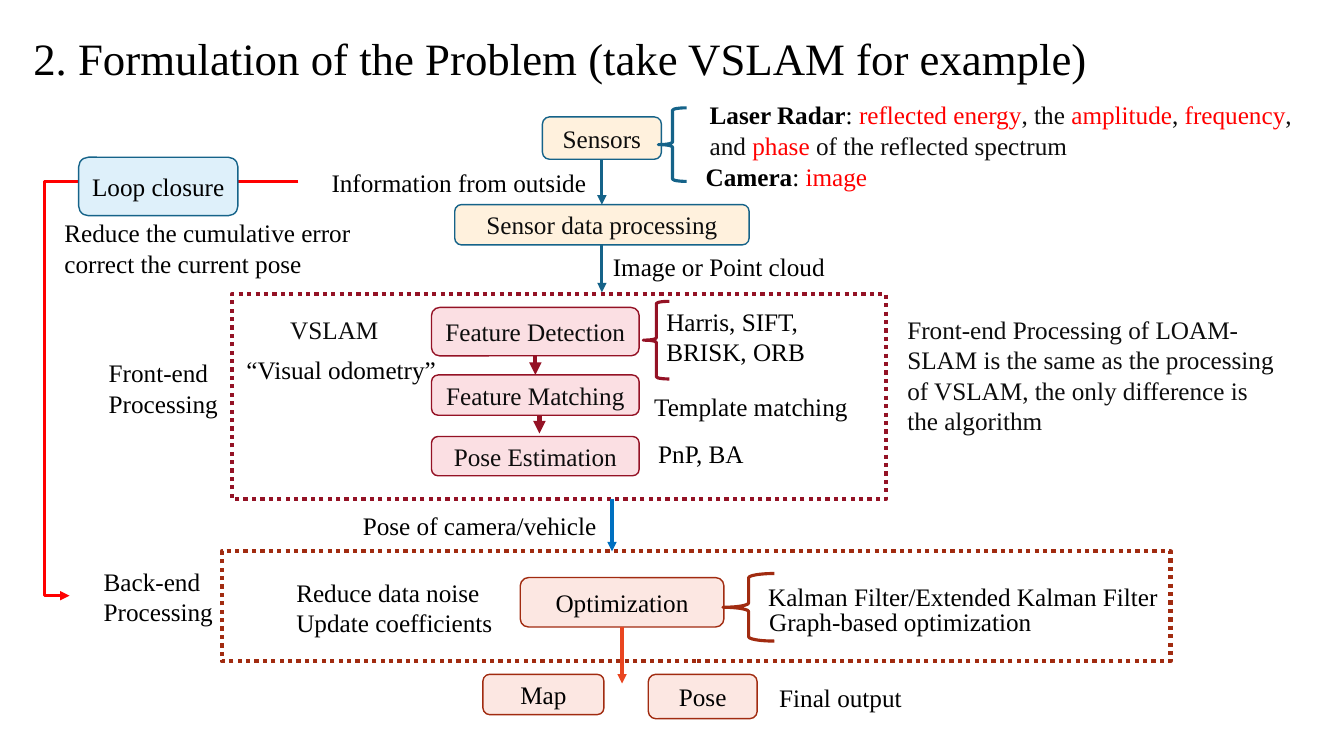
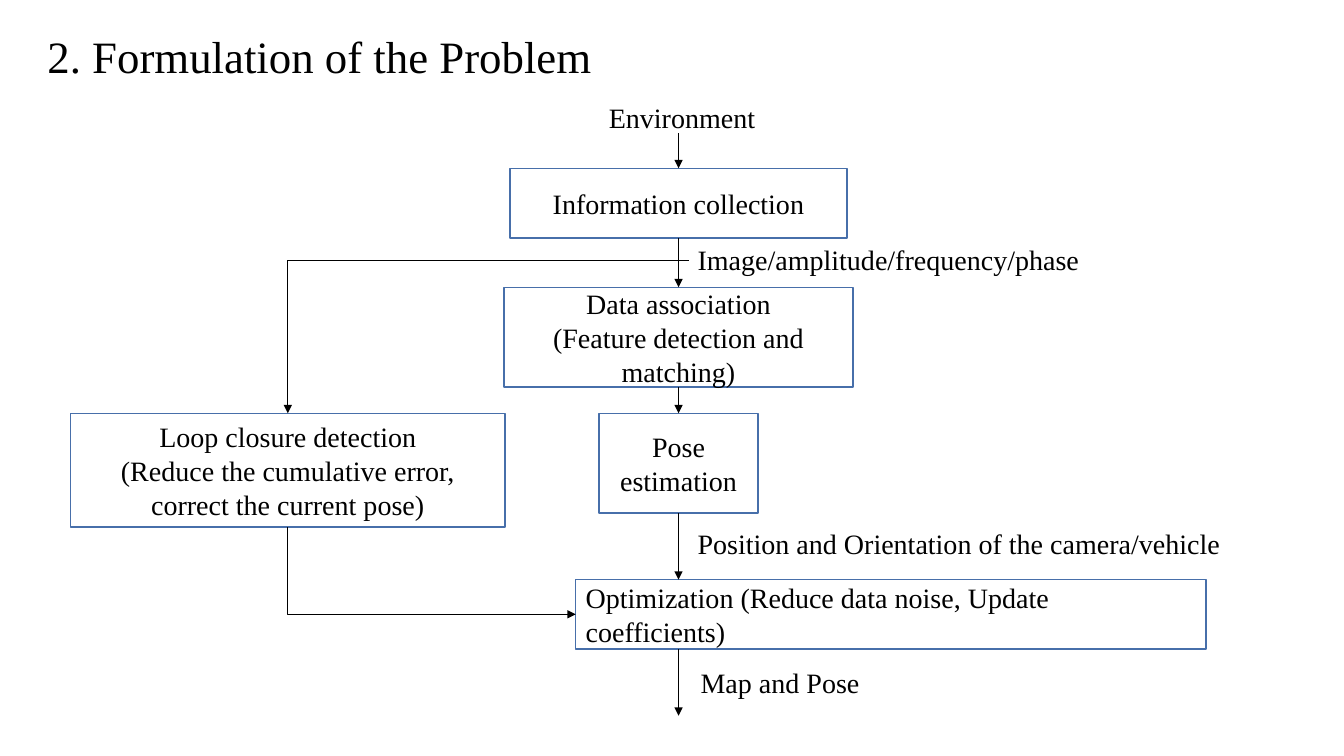
from dataclasses import dataclass

from lxml import etree
from pptx import Presentation
from pptx.dml.color import RGBColor
from pptx.enum.dml import MSO_LINE_DASH_STYLE as Dash
from pptx.enum.shapes import MSO_CONNECTOR as Link, MSO_SHAPE as Shape
from pptx.enum.text import MSO_ANCHOR as Anchor, MSO_AUTO_SIZE as AutoSize, PP_ALIGN as Align
from pptx.oxml.ns import qn
from pptx.util import Inches, Pt


@dataclass(frozen=True)
class Theme:
    font: str = "Times New Roman"
    title_size: int = 32
    detail_size: int = 18
    flow_size: int = 20
    black: str = "000000"
    ink: str = "0D0D0D"
    red: str = "FF0000"
    sensor_fill: str = "FFF1DD"
    sensor_line: str = "156389"
    front_fill: str = "FBDFE3"
    front_line: str = "941225"
    back_fill: str = "FCE7E2"
    back_line: str = "A12B10"
    loop_fill: str = "DEF0FA"
    pose_arrow: str = "0070C0"
    output_arrow: str = "E94520"
    flow_line: str = "476FAA"


THEME = Theme()
TOP, LEFT, BOTTOM = 0, 1, 2


def rgb(value):
    return RGBColor.from_string(value)


def place(left, top, width, height):
    return [Inches(value) for value in (left, top, width, height)]


def style(paragraph, size, color, align):
    paragraph.alignment = align
    paragraph.font.name = THEME.font
    paragraph.font.size = Pt(size)
    paragraph.font.color.rgb = rgb(color)


def write(frame, text, size, color, align):
    frame.word_wrap = True
    for index, line in enumerate(text.split("\n")):
        paragraph = frame.paragraphs[0] if index == 0 else frame.add_paragraph()
        paragraph.add_run().text = line
        style(paragraph, size, color, align)


def add_title_slide(deck, text, area):
    slide = deck.slides.add_slide(deck.slide_layouts[5])
    title = slide.shapes.title
    title.left, title.top, title.width, title.height = place(*area)
    frame = title.text_frame
    frame.auto_size = AutoSize.NONE
    frame.vertical_anchor = Anchor.TOP
    write(frame, text, THEME.title_size, THEME.black, Align.LEFT)
    return slide


def add_label(slide, text, area, size=THEME.detail_size, color=THEME.black, align=Align.LEFT):
    label = slide.shapes.add_textbox(*place(*area))
    write(label.text_frame, text, size, color, align)


def add_sensor_note(slide, area, parts):
    frame = slide.shapes.add_textbox(*place(*area)).text_frame
    frame.word_wrap = True
    paragraph = frame.paragraphs[0]
    style(paragraph, THEME.detail_size, THEME.ink, Align.LEFT)
    for index, (text, color) in enumerate(parts):
        run = paragraph.add_run()
        run.text = text
        run.font.bold = index == 0
        run.font.color.rgb = rgb(color)


def add_outline(slide, kind, area, line, weight, fill=None):
    outline = slide.shapes.add_shape(kind, *place(*area))
    outline.shadow.inherit = False
    if fill:
        outline.fill.solid()
        outline.fill.fore_color.rgb = rgb(fill)
    else:
        outline.fill.background()
    outline.line.color.rgb = rgb(line)
    outline.line.width = Pt(weight)
    return outline


def add_step(slide, text, area, fill, line, color=THEME.ink):
    step = add_outline(slide, Shape.ROUNDED_RECTANGLE, area, line, 1, fill)
    step.text_frame.vertical_anchor = Anchor.MIDDLE
    write(step.text_frame, text, THEME.detail_size, color, Align.CENTER)
    return step


def add_flow_box(slide, text, area, align=Align.CENTER):
    box = add_outline(slide, Shape.RECTANGLE, area, THEME.flow_line, 1)
    box.text_frame.vertical_anchor = Anchor.MIDDLE
    write(box.text_frame, text, THEME.flow_size, THEME.black, align)
    return box


def add_stage_frame(slide, area, line):
    stage = add_outline(slide, Shape.RECTANGLE, area, line, 3)
    stage.line.dash_style = Dash.ROUND_DOT


def add_brace(slide, area, line):
    add_outline(slide, Shape.LEFT_BRACE, area, line, 2.25)


def add_arrow(slide, start, end, color=THEME.black, weight=0.5, kind=Link.STRAIGHT,
              begin=None, finish=None, tip="tailEnd"):
    arrow = slide.shapes.add_connector(kind, *place(*start, *end))
    arrow.line.color.rgb = rgb(color)
    arrow.line.width = Pt(weight)
    if begin:
        arrow.begin_connect(*begin)
    if finish:
        arrow.end_connect(*finish)
    properties = arrow._element.spPr
    etree.SubElement(properties.find(qn("a:ln")), qn(f"a:{tip}"), type="triangle")
    etree.SubElement(properties, qn("a:effectLst"))
    return arrow


def bend(arrow, preset, turn=None):
    geometry = arrow._element.spPr.find(qn("a:prstGeom"))
    geometry.set("prst", preset)
    if turn is not None:
        guides = geometry.find(qn("a:avLst"))
        etree.SubElement(guides, qn("a:gd"), name="adj1", fmla=f"val {round(turn * 100000)}")


def build_sensors(slide):
    colors = THEME.sensor_fill, THEME.sensor_line
    sensors = add_step(slide, "Sensors", (5.38, 1.16, 1.18, 0.42), *colors)
    processing = add_step(slide, "Sensor data processing", (4.51, 2.03, 2.92, 0.4), *colors)
    add_brace(slide, (6.53, 1.07, 0.28, 0.73), THEME.sensor_line)
    red, ink, black = THEME.red, THEME.ink, THEME.black
    add_sensor_note(slide, (6.94, 0.94, 6.29, 0.71), [
        ("Laser Radar", black), (": ", black), ("reflected energy", red), (", the ", ink),
        ("amplitude", red), (", ", ink), ("frequency", red), (", and ", ink),
        ("phase", red), (" of the reflected spectrum", ink)])
    add_sensor_note(slide, (6.9, 1.55, 2.4, 0.4),
                    [("Camera", black), (": ", black), ("image", red)])
    add_arrow(slide, (5.97, 1.58), (5.97, 2.03), THEME.sensor_line, 2.25,
              begin=(sensors, BOTTOM), finish=(processing, TOP))
    add_arrow(slide, (5.97, 2.43), (5.97, 2.9), THEME.sensor_line, 2.25,
              begin=(processing, BOTTOM))
    add_label(slide, "Information from outside", (3.19, 1.61, 3.07, 0.4))
    add_label(slide, "Image or Point cloud", (5.98, 2.44, 3.07, 0.4))


def build_front_end(slide):
    line = THEME.front_line
    add_stage_frame(slide, (2.3, 2.92, 6.49, 2.03), line)
    detection, matching, _ = [
        add_step(slide, text, (4.28, top, 2.06, height), THEME.front_fill, line)
        for text, top, height in [("Feature Detection", 3.05, 0.48),
                                  ("Feature Matching", 3.72, 0.4),
                                  ("Pose Estimation", 4.33, 0.39)]]
    add_arrow(slide, (5.31, 3.53), (5.31, 3.72), line, 3,
              begin=(detection, BOTTOM), finish=(matching, TOP))
    add_arrow(slide, (5.35, 4.12), (5.35, 4.3), line, 3)
    add_brace(slide, (6.38, 2.99, 0.26, 0.77), line)
    add_label(slide, "Front-end Processing", (0.98, 3.5, 1.58, 0.71))
    add_label(slide, "VSLAM", (2.78, 3.07, 1.61, 0.4), color=THEME.ink)
    add_label(slide, "“Visual odometry”", (2.3, 3.47, 2.17, 0.4), align=Align.CENTER)
    add_label(slide, "Harris, SIFT, BRISK, ORB", (6.51, 2.99, 2.21, 0.71))
    add_label(slide, "Template matching", (6.39, 3.83, 2.47, 0.4))
    add_label(slide, "PnP, BA", (6.43, 4.3, 2.47, 0.4))
    add_label(slide, "Front-end Processing of LOAM-SLAM is the same as the processing of VSLAM, "
              "the only difference is the algorithm", (8.9, 3.07, 3.92, 1.31), color=THEME.ink)
    add_arrow(slide, (6.07, 4.95), (6.07, 5.47), THEME.pose_arrow, 2.25)
    add_label(slide, "Pose of camera/vehicle", (3.5, 5.01, 3.22, 0.4))


def build_back_end(slide):
    line = THEME.back_line
    add_stage_frame(slide, (2.2, 5.47, 9.41, 1.09), line)
    optimization, _, _ = [
        add_step(slide, text, area, THEME.back_fill, line, THEME.black)
        for text, area in [("Optimization", (5.16, 5.73, 2.02, 0.49)),
                           ("Map", (4.79, 6.69, 1.2, 0.4)),
                           ("Pose", (6.43, 6.69, 1.08, 0.44))]]
    add_brace(slide, (7.17, 5.69, 0.51, 0.67), line)
    add_arrow(slide, (6.17, 6.22), (6.17, 6.78), THEME.output_arrow, 2.25,
              begin=(optimization, BOTTOM))
    add_label(slide, "Back-end Processing", (0.93, 5.57, 1.58, 0.71))
    add_label(slide, "Reduce data noise\nUpdate coefficients", (2.84, 5.68, 2.98, 0.71))
    add_label(slide, "Kalman Filter/Extended Kalman Filter", (7.52, 5.72, 4.96, 0.4))
    add_label(slide, "Graph-based optimization", (7.53, 5.97, 4.74, 0.4))
    add_label(slide, "Final output", (7.63, 6.72, 1.58, 0.4))


def build_loop_closure(slide):
    feedback = add_arrow(slide, (2.96, 1.8), (0.69, 5.91), THEME.red, 2.25, Link.ELBOW)
    bend(feedback, "bentConnector3", 1.11)
    add_step(slide, "Loop closure", (0.78, 1.56, 1.58, 0.58),
             THEME.loop_fill, THEME.sensor_line, THEME.black)
    add_label(slide, "Reduce the cumulative error\ncorrect the current pose",
              (0.54, 2.11, 4.55, 0.71))


def build_vslam_slide(deck):
    slide = add_title_slide(deck, "2. Formulation of the Problem (take VSLAM for example)",
                            (0.23, 0.25, 11.68, 0.64))
    build_sensors(slide)
    build_front_end(slide)
    build_back_end(slide)
    build_loop_closure(slide)


def build_flow_slide(deck):
    slide = add_title_slide(deck, "2. Formulation of the Problem", (0.37, 0.23, 11.25, 0.64))
    axis = 6.73
    collection = add_flow_box(slide, "Information collection", (5.06, 1.67, 3.34, 0.69))
    association = add_flow_box(slide, "Data association\n(Feature detection and matching)",
                               (5, 2.85, 3.46, 0.99))
    pose = add_flow_box(slide, "Pose estimation", (5.94, 4.1, 1.58, 0.99))
    optimization = add_flow_box(slide, "Optimization (Reduce data noise, Update coefficients)",
                                (5.71, 5.75, 6.25, 0.69), Align.LEFT)
    loop = add_flow_box(slide, "Loop closure detection\n"
                        "(Reduce the cumulative error, correct the current pose)",
                        (0.7, 4.1, 4.31, 1.13))

    for top, bottom, begin, finish in [
            (1.32, 1.67, None, (collection, TOP)),
            (2.36, 2.85, (collection, BOTTOM), (association, TOP)),
            (3.84, 4.1, (association, BOTTOM), (pose, TOP)),
            (5.09, 5.75, (pose, BOTTOM), None),
            (6.44, 7.1, None, None)]:
        add_arrow(slide, (axis, top), (axis, bottom), begin=begin, finish=finish)

    to_loop = add_arrow(slide, (6.83, 2.58), (2.86, 4.1), kind=Link.ELBOW, finish=(loop, TOP))
    from_loop = add_arrow(slide, (5.71, 6.1), (2.86, 5.23), kind=Link.ELBOW,
                          begin=(optimization, LEFT), finish=(loop, BOTTOM), tip="headEnd")
    for arrow in (to_loop, from_loop):
        bend(arrow, "bentConnector2")

    for text, area in [
            ("Environment", (5.94, 0.95, 1.67, 0.44)),
            ("Image/amplitude/frequency/phase", (6.82, 2.36, 4.23, 0.44)),
            ("Position and Orientation of the camera/vehicle", (6.82, 5.17, 5.48, 0.44)),
            ("Map and Pose", (6.85, 6.55, 5.04, 0.44))]:
        add_label(slide, text, area, THEME.flow_size)


def main():
    deck = Presentation()
    deck.slide_width, deck.slide_height = Inches(13.33), Inches(7.5)
    build_vslam_slide(deck)
    build_flow_slide(deck)
    deck.save("out.pptx")


if __name__ == "__main__":
    main()
